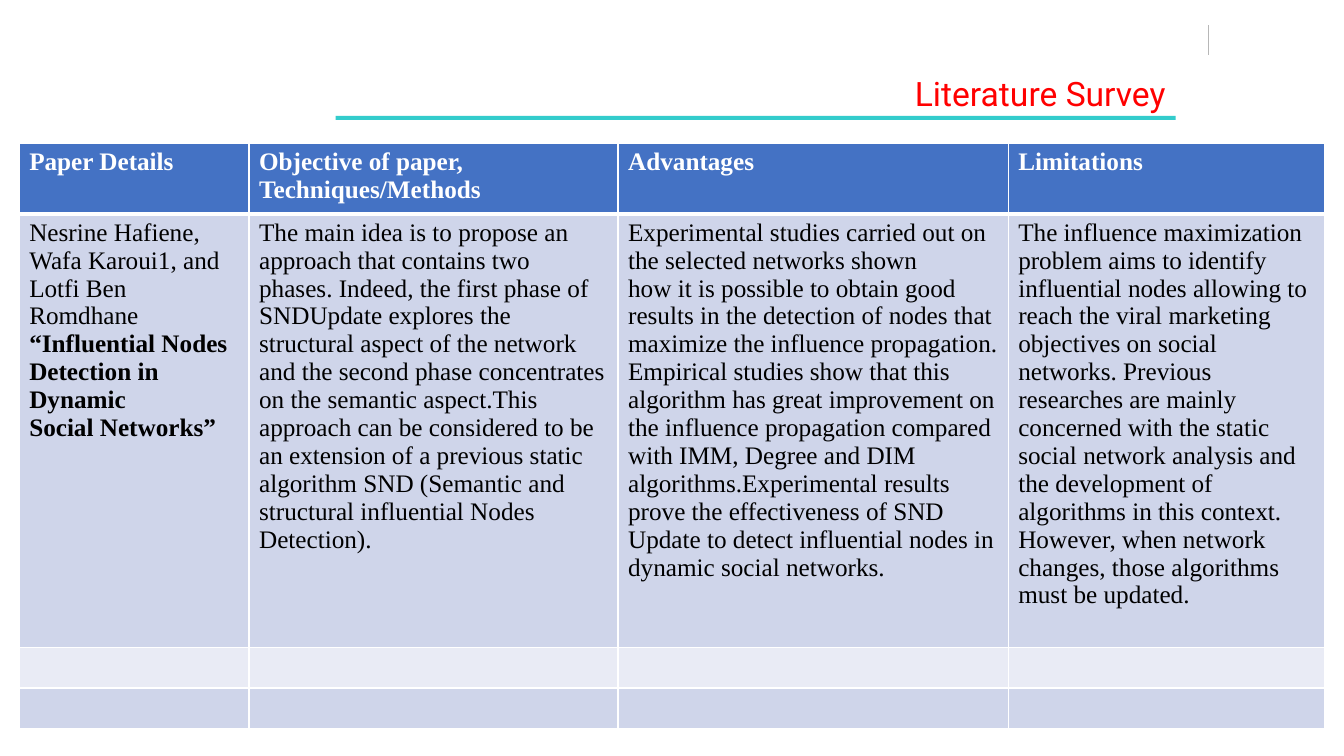
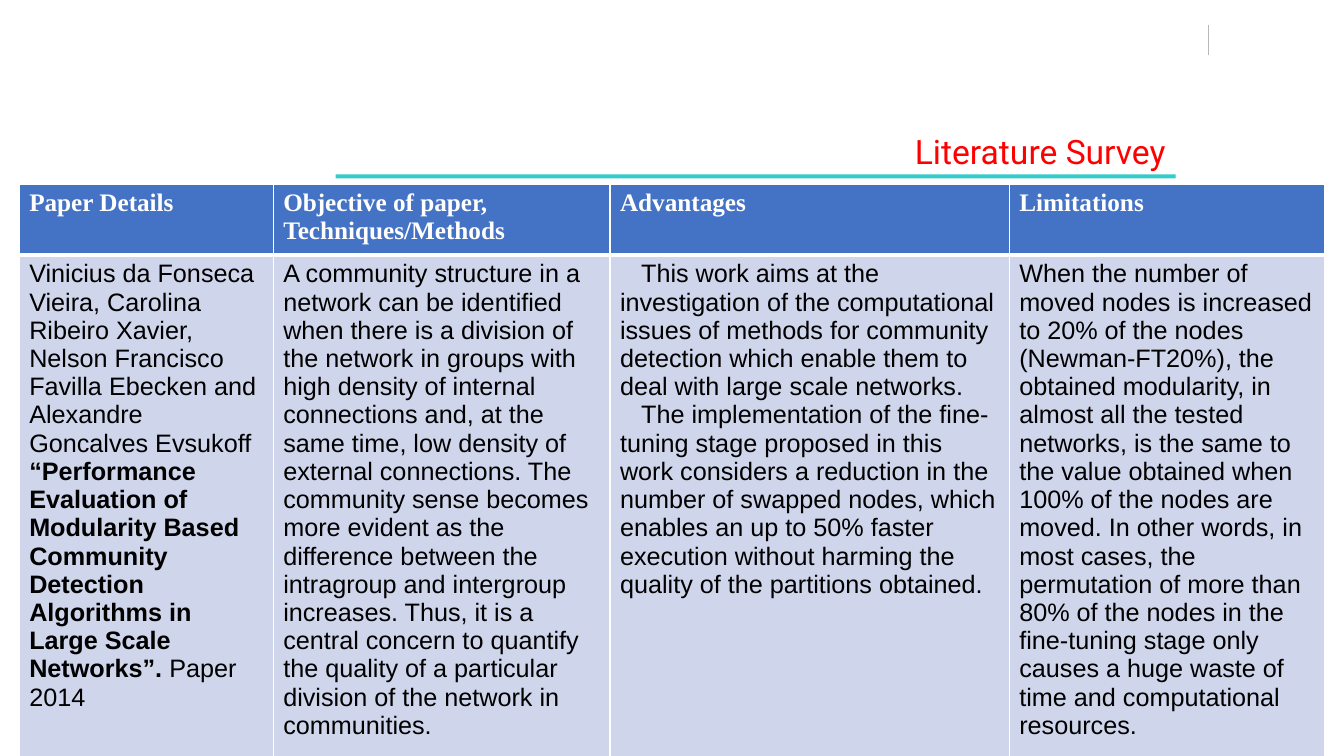
import lxml.etree
import pptx
import pptx.dml.color
import pptx.enum.shapes
import pptx.enum.text
import pptx.oxml.ns
import pptx.util

PX = 9144
WHITE = pptx.dml.color.RGBColor(0xFF, 0xFF, 0xFF)
BLACK = pptx.dml.color.RGBColor(0x00, 0x00, 0x00)
RED = pptx.dml.color.RGBColor(0xFF, 0x00, 0x00)
TEAL = pptx.dml.color.RGBColor(0x33, 0xCC, 0xCC)
GRAY = pptx.dml.color.RGBColor(0xB7, 0xB7, 0xB7)
BLUE = pptx.dml.color.RGBColor(0x44, 0x72, 0xC4)
BANDS = (pptx.dml.color.RGBColor(0xCF, 0xD5, 0xEA),
         pptx.dml.color.RGBColor(0xE9, 0xEB, 0xF5))
SERIF, SANS, TITLE_FONT = "Times New Roman", "Arial", "Roboto"
TITLE = "Literature Survey"
HEADERS = ["Paper Details", "Objective of paper, Techniques/Methods", "Advantages", "Limitations"]

SURVEYS = [
    {
        "title_top": 67, "table_top": 142, "font": SERIF, "indent": 0,
        "cols": [228, 366, 387, 314], "rows": [70, 430, 40, 40],
        "cells": [
            ["Nesrine Hafiene,",
             "Wafa Karoui1, and Lotfi Ben Romdhane",
             "*“Influential Nodes Detection in Dynamic*",
             "*Social Networks”*"],
            ["The main idea is to propose an approach that contains two phases. Indeed, the first "
             "phase of SNDUpdate explores the structural aspect of the network and the second phase "
             "concentrates on the semantic aspect.This approach can be considered to be an extension "
             "of a previous static algorithm SND (Semantic and structural influential Nodes "
             "Detection)."],
            ["Experimental studies carried out on the selected networks shown",
             "how it is possible to obtain good results in the detection of nodes that maximize the "
             "influence propagation. Empirical studies show that this algorithm has great "
             "improvement on the influence propagation compared with IMM, Degree and DIM "
             "algorithms.Experimental results prove the effectiveness of SND Update to detect "
             "influential nodes in dynamic social networks."],
            ["The influence maximization problem aims to identify influential nodes allowing to "
             "reach the viral marketing objectives on social",
             "networks. Previous researches are mainly concerned with the static social network "
             "analysis and the development of algorithms in this context. However, when network "
             "changes, those algorithms must be updated."],
        ],
    },
    {
        "title_top": 125, "table_top": 183, "font": SANS, "indent": 21,
        "cols": [252, 334, 396, 313], "rows": [70, 500, 40, 40],
        "cells": [
            ["Vinicius da Fonseca Vieira, Carolina Ribeiro Xavier, Nelson Francisco Favilla Ebecken "
             "and Alexandre Goncalves Evsukoff *“Performance Evaluation of Modularity Based "
             "Community Detection Algorithms in Large Scale Networks”. *Paper 2014"],
            ["A community structure in a network can be identified when there is a division of the "
             "network in groups with high density of internal connections and, at the same time, low "
             "density of external connections. The community sense becomes more evident as the "
             "difference between the intragroup and intergroup increases. Thus, it is a central "
             "concern to quantify the quality of a particular division of the network in "
             "communities."],
            ["This work aims at the investigation of the computational issues of methods for "
             "community detection which enable them to deal with large scale networks.",
             "The implementation of the fine-tuning stage proposed in this work considers a "
             "reduction in the number of swapped nodes, which enables an up to 50% faster execution "
             "without harming the quality of the partitions obtained."],
            ["When the number of moved nodes is increased to 20% of the nodes (Newman-FT20%), the "
             "obtained modularity, in almost all the tested networks, is the same to the value "
             "obtained when 100% of the nodes are moved. In other words, in most cases, the "
             "permutation of more than 80% of the nodes in the fine-tuning stage only causes a huge "
             "waste of time and computational resources."],
        ],
    },
]


def px(*values):
    """Turn px lengths into EMU."""
    return [pptx.util.Emu(v * PX) for v in values]


def add_divider(s, x, y, height):
    """Draw the thin vertical line in the page corner."""
    line = s.shapes.add_connector(pptx.enum.shapes.MSO_CONNECTOR.STRAIGHT,
                                  *px(x, y, x, y + height))
    line.line.color.rgb = GRAY
    line.line.width = pptx.util.Pt(0.75)
    lxml.etree.SubElement(line._element.spPr, pptx.oxml.ns.qn("a:effectLst"))


def add_title(s, x, y, w, h):
    """Place the right-aligned title and the rule along its bottom edge."""
    rule = s.shapes.add_shape(pptx.enum.shapes.MSO_SHAPE.RECTANGLE,
                              *px(x - 125, y + h - 2, w + 125, 4))
    rule.shadow.inherit = False
    rule.fill.solid()
    rule.fill.fore_color.rgb = TEAL
    rule.line.fill.background()
    title = s.shapes.title
    title.left, title.top, title.width, title.height = px(x, y, w, h)
    tf = title.text_frame
    tf.text = TITLE
    tf.word_wrap = True
    tf.auto_size = pptx.enum.text.MSO_AUTO_SIZE.NONE
    tf.vertical_anchor = pptx.enum.text.MSO_ANCHOR.TOP
    p = tf.paragraphs[0]
    p.alignment = pptx.enum.text.PP_ALIGN.RIGHT
    p.font.name, p.font.size = TITLE_FONT, pptx.util.Pt(24)
    p.font.color.rgb = RED


def style_cell(cell, fill, top, bottom):
    """Give a cell its white borders, in points, and its fill."""
    tc_pr = cell._tc.get_or_add_tcPr()
    for side, width in (("L", 1), ("R", 1), ("T", top), ("B", bottom)):
        ln = lxml.etree.SubElement(tc_pr, pptx.oxml.ns.qn("a:ln" + side),
                                   w=str(pptx.util.Pt(width)))
        solid = lxml.etree.SubElement(ln, pptx.oxml.ns.qn("a:solidFill"))
        lxml.etree.SubElement(solid, pptx.oxml.ns.qn("a:srgbClr"), val=str(WHITE))
    cell.fill.solid()
    cell.fill.fore_color.rgb = fill


def write_cell(cell, paragraphs, font, color, bold=False, indent=0):
    """Write paragraphs into a cell; text between asterisks is bold."""
    tf = cell.text_frame
    for i, text in enumerate(paragraphs):
        p = tf.add_paragraph() if i else tf.paragraphs[0]
        p.font.name, p.font.size = font, pptx.util.Pt(18)
        p.font.color.rgb = color
        if indent:
            p._p.get_or_add_pPr().set("indent", str(indent * PX))
        for j, part in enumerate(text.split("*")):
            if part:
                r = p.add_run()
                r.text = part
                r.font.bold = bold or j % 2 == 1


def add_survey_table(s, x, y, survey):
    """Build the four-column table of one surveyed paper."""
    cols, rows = survey["cols"], survey["rows"]
    table = s.shapes.add_table(len(rows), len(cols), *px(x, y, sum(cols), sum(rows))).table
    table.first_row = table.horz_banding = False
    for column, width in zip(table.columns, px(*cols)):
        column.width = width
    for i, (row, height) in enumerate(zip(table.rows, px(*rows))):
        row.height = height
        for cell in row.cells:
            style_cell(cell, BANDS[(i - 1) % 2] if i else BLUE,
                       top=3 if i == 1 else 1, bottom=1 if i else 3)
    for c, (header, paragraphs) in enumerate(zip(HEADERS, survey["cells"])):
        write_cell(table.cell(0, c), [header], SERIF, WHITE, bold=True)
        write_cell(table.cell(1, c), paragraphs, survey["font"], BLACK,
                   indent=survey["indent"] if c == 2 else 0)


def add_survey_slide(prs, survey):
    """Add one literature survey slide."""
    s = prs.slides.add_slide(prs.slide_layouts[5])
    add_divider(s, 1199, 25, 30)
    add_title(s, 458, survey["title_top"], 708, 50)
    add_survey_table(s, 19, survey["table_top"], survey)


def main():
    """Build and save the presentation."""
    prs = pptx.Presentation()
    prs.slide_width, prs.slide_height = px(1333, 750)
    for survey in SURVEYS:
        add_survey_slide(prs, survey)
    prs.save("out.pptx")


if __name__ == "__main__":
    main()
